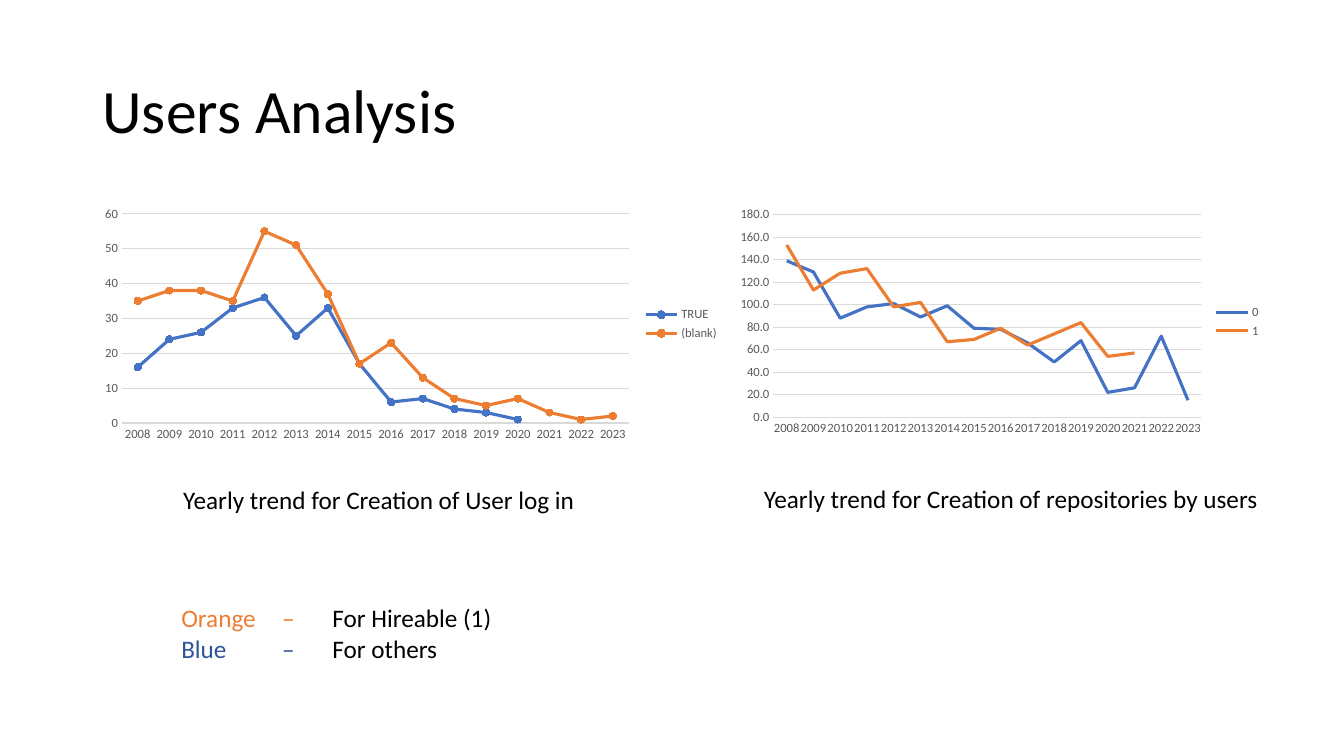
import pptx
import pptx.chart.data
import pptx.dml.color
import pptx.enum.chart
import pptx.enum.text
import pptx.oxml.ns
import pptx.util

Pt = pptx.util.Pt
kinds = pptx.enum.chart.XL_CHART_TYPE
marks = pptx.enum.chart.XL_MARKER_STYLE
ticks = pptx.enum.chart.XL_TICK_MARK
hues = {"black": "000000", "gray": "595959", "grid": "D9D9D9",
        "blue": "4472C4", "orange": "ED7D31", "navy": "2F5597"}


def rgb(name):
    return pptx.dml.color.RGBColor.from_string(hues[name])


def style(font, size, hue):
    for key, value in {"name": "Calibri", "size": Pt(size)}.items():
        setattr(font, key, value)
    font.color.rgb = rgb(hue)


deck = pptx.Presentation()
deck.slide_width, deck.slide_height = Pt(960), Pt(540)
slide = deck.slides.add_slide(deck.slide_layouts[5])

# Title
title = slide.shapes.title
place = {"left": 66, "top": 28.8, "width": 828, "height": 104.4}
for key, value in place.items():
    setattr(title, key, Pt(value))
frame = title.text_frame
frame.text = "Users Analysis"
frame.vertical_anchor = pptx.enum.text.MSO_ANCHOR.MIDDLE
para = frame.paragraphs[0]
para.alignment = pptx.enum.text.PP_ALIGN.LEFT
para.line_spacing = 0.9
style(para.runs[0].font, 44, "black")

# Line charts
years = [str(year) for year in range(2008, 2024)]
charts = [
    {"box": (66, 144, 455, 175), "kind": kinds.LINE_MARKERS,
     "top": 60, "step": 10, "form": "General", "rows": {
         "TRUE": [16, 24, 26, 33, 36, 25, 33, 17, 6, 7, 4, 3, 1,
                  None, None, None],
         "(blank)": [35, 38, 38, 35, 55, 51, 37, 17, 23, 13, 7, 5, 7,
                     3, 1, 2]}},
    {"box": (521.3, 144.7, 386.6, 170), "kind": kinds.LINE,
     "top": 180, "step": 20, "form": "0.0", "rows": {
         "0": [139, 129, 88, 98, 101, 89, 99, 79, 78, 66, 49, 68, 22,
               26, 72, 15],
         "1": [153, 113, 128, 132, 98, 102, 67, 69, 79, 64, 74, 84, 54,
               57, None, None]}},
]
for part in charts:
    data = pptx.chart.data.CategoryChartData(number_format=part["form"])
    data.categories = years
    for name, values in part["rows"].items():
        data.add_series(name, values)
    box = [Pt(n) for n in part["box"]]
    chart = slide.shapes.add_chart(part["kind"], *box, data).chart
    style(chart.font, 10, "black")
    chart.has_title = False
    chart.has_legend = True
    chart.legend.position = pptx.enum.chart.XL_LEGEND_POSITION.RIGHT
    chart.legend.include_in_layout = False
    style(chart.legend.font, 9, "gray")

    # Axes
    years_axis, scale = chart.category_axis, chart.value_axis
    for axis in (years_axis, scale):
        axis.major_tick_mark = axis.minor_tick_mark = ticks.NONE
        style(axis.tick_labels.font, 9, "gray")
    labels = years_axis._element.find(pptx.oxml.ns.qn("c:txPr"))
    labels.find(pptx.oxml.ns.qn("a:bodyPr")).set("rot", "-60000000")
    limits = {"minimum_scale": 0, "maximum_scale": part["top"],
              "major_unit": part["step"], "has_major_gridlines": True}
    for key, value in limits.items():
        setattr(scale, key, value)
    scale.tick_labels.number_format = part["form"]
    scale.tick_labels.number_format_is_linked = False
    scale.format.line.fill.background()
    for line in (years_axis.format.line, scale.major_gridlines.format.line):
        line.color.rgb = rgb("grid")
        line.width = Pt(0.75)

    # Series
    chart.plots[0].vary_by_categories = False
    for row, hue in zip(chart.plots[0].series, ("blue", "orange")):
        row.smooth = False
        row.format.line.color.rgb = rgb(hue)
        row.format.line.width = Pt(2.25)
        if part["kind"] == kinds.LINE_MARKERS:
            row.marker.style = marks.CIRCLE
            row.marker.size = 5
            row.marker.format.fill.solid()
            row.marker.format.fill.fore_color.rgb = rgb(hue)
            row.marker.format.line.color.rgb = rgb(hue)
        else:
            row.marker.style = marks.NONE

# Captions and colour key
notes = [
    ((123.8, 342.7, 297.4, 29), False,
     [[("Yearly trend for Creation of User log in", "black")]]),
    ((538.6, 342, 371.5, 29), False,
     [[("Yearly trend for Creation of repositories by users", "black")]]),
    ((122.4, 427, 313.2, 51), True,
     [[("Orange \t– ", "orange"), ("\tFor Hireable (1)", "black")],
      [("Blue \t– ", "navy"), ("\tFor others", "black")]]),
]
for box, wrap, lines in notes:
    frame = slide.shapes.add_textbox(*[Pt(n) for n in box]).text_frame
    frame.word_wrap = wrap
    frame.auto_size = pptx.enum.text.MSO_AUTO_SIZE.SHAPE_TO_FIT_TEXT
    for i, line in enumerate(lines):
        para = frame.add_paragraph() if i else frame.paragraphs[0]
        for text, hue in line:
            run = para.add_run()
            run.text = text
            style(run.font, 18, hue)

deck.save("out.pptx")
